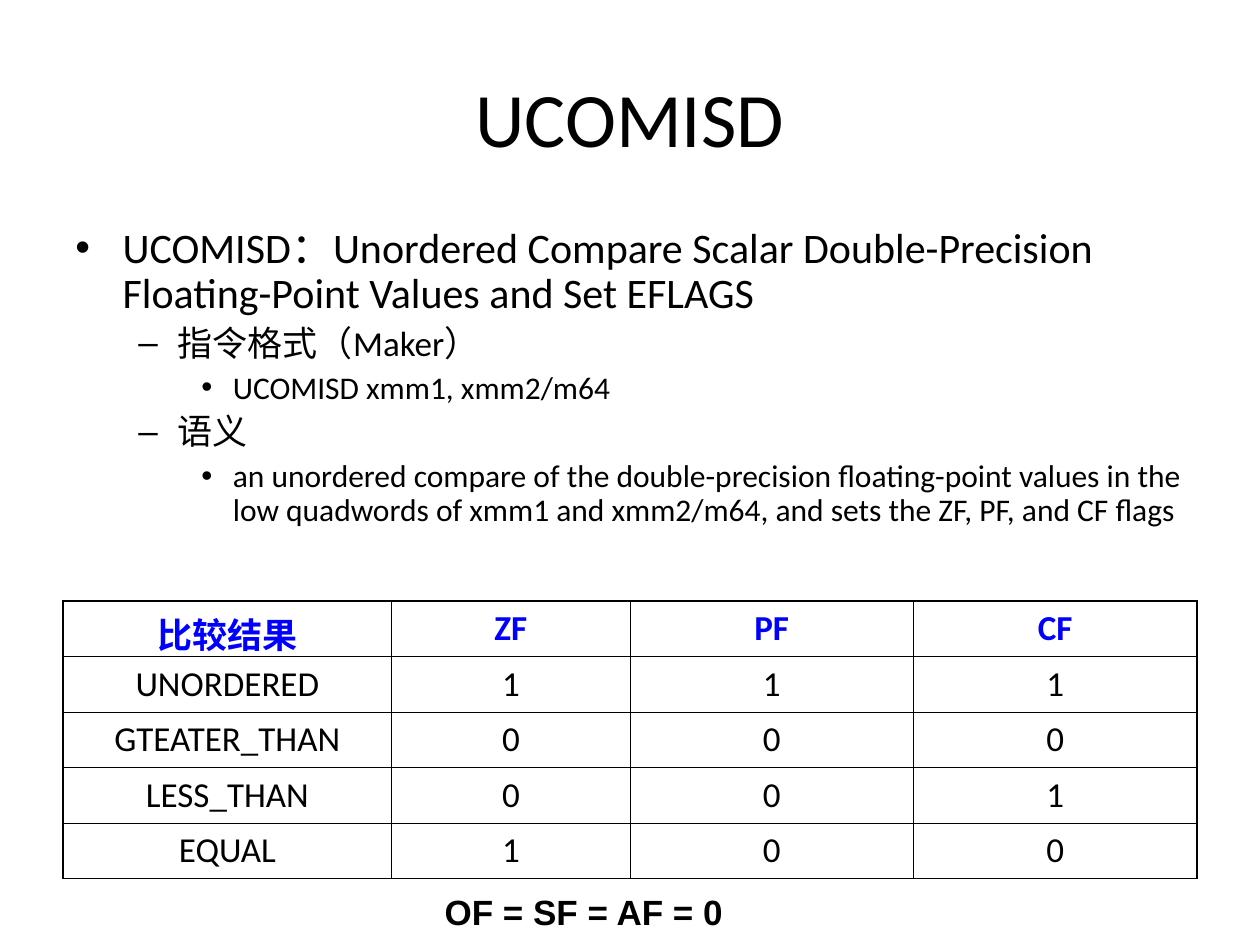
from dataclasses import dataclass

from lxml.etree import SubElement
from pptx import Presentation
from pptx.dml.color import RGBColor
from pptx.enum.text import MSO_ANCHOR, PP_ALIGN
from pptx.oxml.ns import qn
from pptx.util import Pt


@dataclass(frozen=True)
class Theme:
    ink: str = "000000"
    heading: str = "0000FF"
    font: str = "Calibri"
    note_font: str = "Arial"
    title_size: float = 44
    table_size: float = 20
    outer_line: float = 1.08
    inner_line: float = 0.45


@dataclass(frozen=True)
class Level:
    bullet: str
    size: float
    margin: float
    hanging: float
    space_before: float


THEME = Theme()
LEVELS = (
    Level("•", 24, 27, 27, 6),
    Level("–", 20, 58.5, 22.5, 5),
    Level("•", 18, 90, 18, 4.5),
)
OUTLINE = (
    (0, "UCOMISD：Unordered Compare Scalar Double-Precision "
        "Floating-Point Values and Set EFLAGS"),
    (1, "指令格式（Maker）"),
    (2, "UCOMISD xmm1, xmm2/m64"),
    (1, "语义"),
    (2, "an unordered compare of the double-precision floating-point values in the "
        "low quadwords of xmm1 and xmm2/m64, and sets the ZF, PF, and CF flags"),
)
FLAG_ROWS = (
    ("比较结果", "ZF", "PF", "CF"),
    ("UNORDERED", "1", "1", "1"),
    ("GTEATER_THAN", "0", "0", "0"),
    ("LESS_THAN", "0", "0", "1"),
    ("EQUAL", "1", "0", "0"),
)
COLUMN_SHARES = (0.29, 0.21, 0.25, 0.25)


def add_span(para, text, size, color=THEME.ink, font=THEME.font, bold=False):
    span = para.add_run()
    span.text = text
    span.font.size = Pt(size)
    span.font.name = font
    span.font.bold = bold
    span.font.color.rgb = RGBColor.from_string(color)


def add_text_frame(page, box, anchor=MSO_ANCHOR.TOP):
    frame = page.shapes.add_textbox(*map(Pt, box)).text_frame
    frame.word_wrap = True
    frame.vertical_anchor = anchor
    return frame


def set_bullet(para, level):
    properties = para._p.get_or_add_pPr()
    properties.set("marL", str(Pt(level.margin)))
    properties.set("indent", str(-Pt(level.hanging)))
    color = SubElement(properties, qn("a:buClr"))
    SubElement(color, qn("a:srgbClr"), val=THEME.ink)
    SubElement(properties, qn("a:buFont"), typeface="Arial")
    SubElement(properties, qn("a:buChar"), char=level.bullet)


def add_title(page, box):
    para = add_text_frame(page, box, MSO_ANCHOR.MIDDLE).paragraphs[0]
    para.alignment = PP_ALIGN.CENTER
    add_span(para, "UCOMISD", THEME.title_size)


def add_outline(page, box):
    frame = add_text_frame(page, box)
    for index, (depth, text) in enumerate(OUTLINE):
        para = frame.add_paragraph() if index else frame.paragraphs[0]
        level = LEVELS[depth]
        para.level = depth
        set_bullet(para, level)
        para.line_spacing = 0.9
        para.space_before = Pt(level.space_before if index else 0)
        add_span(para, text, level.size)


def set_borders(cell, outer_sides):
    """Draw all four sides, heavier on those that lie on the table's edge."""
    properties = cell._tc.get_or_add_tcPr()
    for side in "LRTB":
        width = THEME.outer_line if side in outer_sides else THEME.inner_line
        line = SubElement(properties, qn(f"a:ln{side}"), w=str(Pt(width)))
        fill = SubElement(line, qn("a:solidFill"))
        SubElement(fill, qn("a:srgbClr"), val=THEME.ink)


def add_flag_table(page, box):
    left, top, width, height = box
    last_row, last_column = len(FLAG_ROWS) - 1, len(COLUMN_SHARES) - 1
    table = page.shapes.add_table(
        last_row + 1, last_column + 1, *map(Pt, box)).table
    table.first_row = table.horz_banding = False
    for column, share in zip(table.columns, COLUMN_SHARES):
        column.width = Pt(width * share)
    for row_index, values in enumerate(FLAG_ROWS):
        table.rows[row_index].height = Pt(height / len(FLAG_ROWS))
        is_header = row_index == 0
        for column_index, value in enumerate(values):
            cell = table.cell(row_index, column_index)
            edges = {"L": column_index == 0, "R": column_index == last_column,
                     "T": is_header, "B": row_index == last_row}
            set_borders(cell, [side for side, outer in edges.items() if outer])
            cell.fill.background()
            para = cell.text_frame.paragraphs[0]
            para.alignment = PP_ALIGN.CENTER
            add_span(para, value, THEME.table_size, bold=is_header,
                     color=THEME.heading if is_header else THEME.ink)


def add_flag_note(page, box):
    para = add_text_frame(page, box).paragraphs[0]
    add_span(para, "OF = SF = AF = 0", THEME.table_size,
             font=THEME.note_font, bold=True)


def main():
    deck = Presentation()
    deck.slide_width, deck.slide_height = Pt(720), Pt(540)
    page = deck.slides.add_slide(deck.slide_layouts[6])
    add_title(page, (36, 21.6, 648, 90))
    add_outline(page, (36, 126, 648, 201))
    add_flag_table(page, (36, 343.5, 648, 158.5))
    add_flag_note(page, (247, 505.5, 221, 31.5))
    deck.save("out.pptx")


if __name__ == "__main__":
    main()
